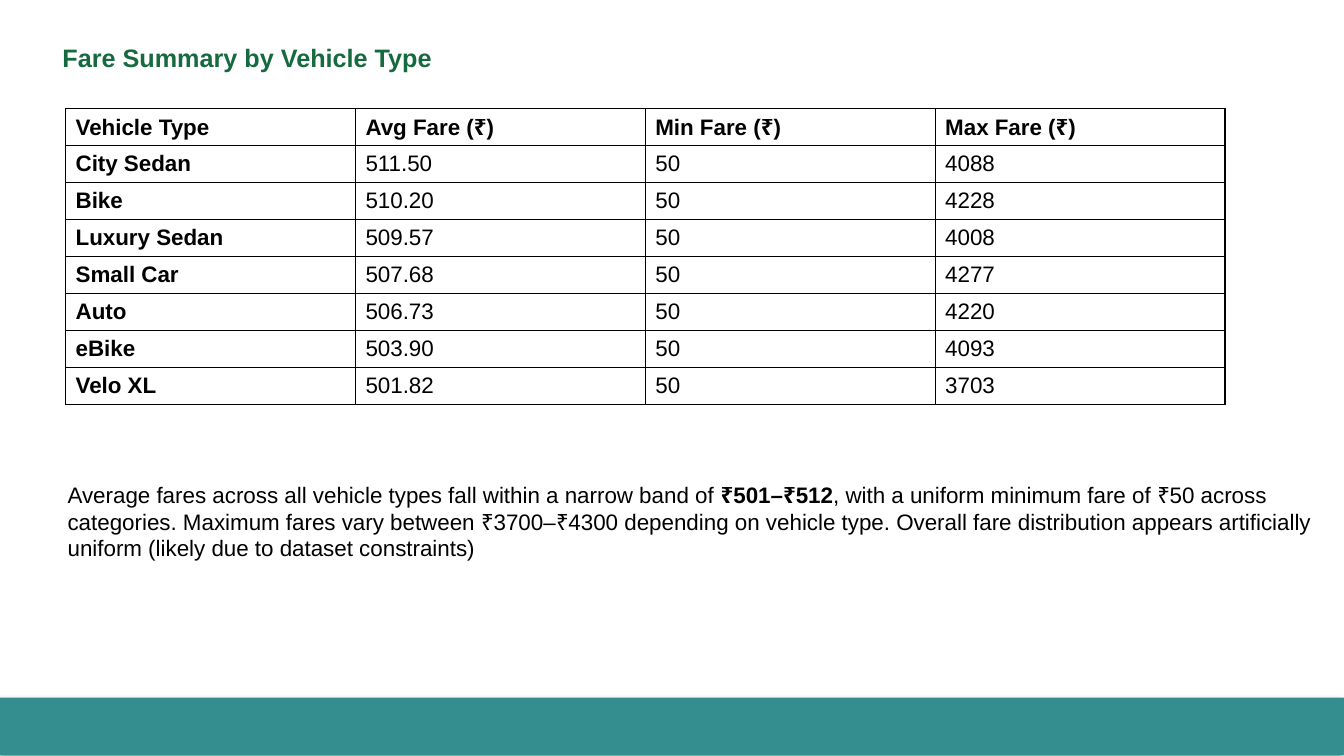
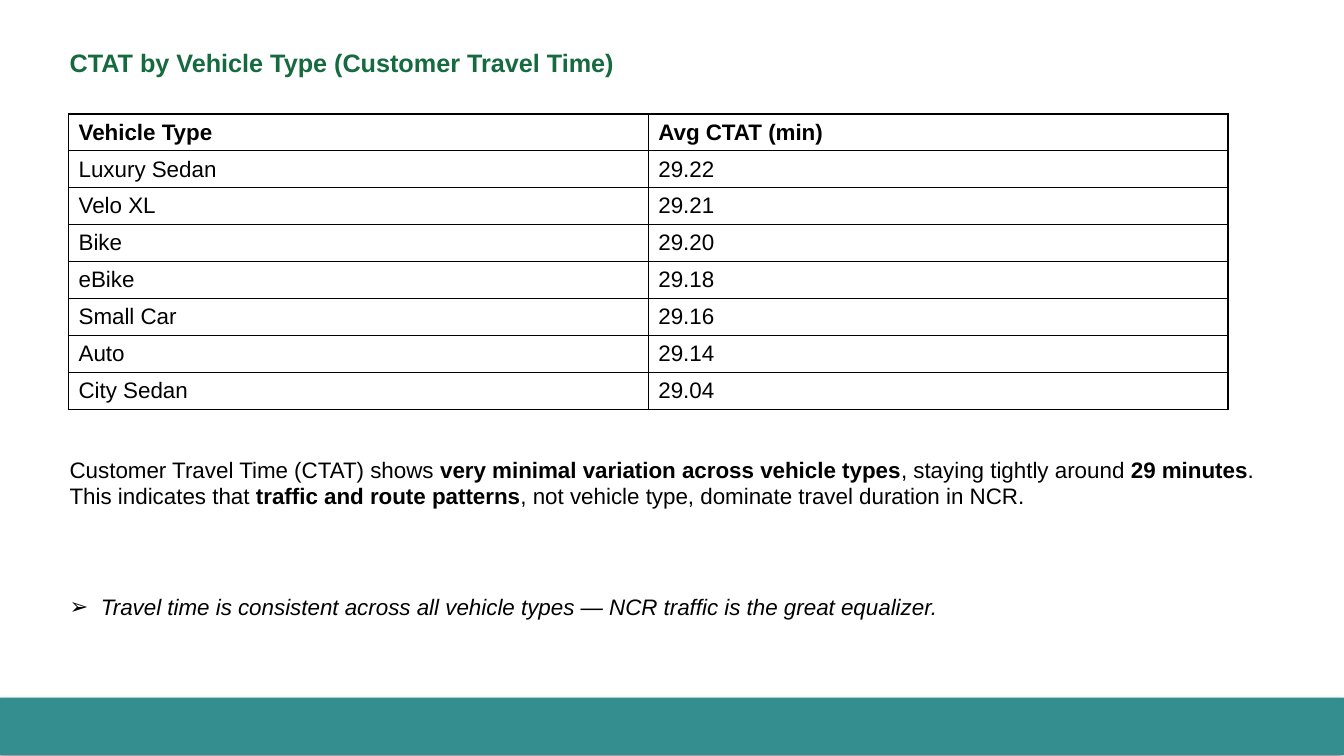
from lxml.etree import SubElement
from pptx import Presentation
from pptx.dml.color import RGBColor as Rgb
from pptx.enum.shapes import MSO_SHAPE as Shape
from pptx.enum.text import MSO_ANCHOR as Anchor, MSO_AUTO_SIZE as Fit, PP_ALIGN as Align
from pptx.oxml.ns import qn
from pptx.util import Inches, Pt

HUES = {"title": "166A3F", "band": "348E90", "ink": "000000"}
FONT = "Arial"
WIDE, HIGH = Inches(13.33), Inches(7.5)
COL, ROW = WIDE / 100, HIGH / 100
BAND = (0, 92.27, 100, 7.6)

FARES = [
    ("Vehicle Type", "Avg Fare (₹)", "Min Fare (₹)", "Max Fare (₹)"),
    ("City Sedan", "511.50", "50", "4088"),
    ("Bike", "510.20", "50", "4228"),
    ("Luxury Sedan", "509.57", "50", "4008"),
    ("Small Car", "507.68", "50", "4277"),
    ("Auto", "506.73", "50", "4220"),
    ("eBike", "503.90", "50", "4093"),
    ("Velo XL", "501.82", "50", "3703"),
]
TIMES = [
    ("Vehicle Type", "Avg CTAT (min)"),
    ("Luxury Sedan", "29.22"),
    ("Velo XL", "29.21"),
    ("Bike", "29.20"),
    ("eBike", "29.18"),
    ("Small Car", "29.16"),
    ("Auto", "29.14"),
    ("City Sedan", "29.04"),
]
FARE_NOTE = (
    "Average fares across all vehicle types fall within a narrow band of *₹501–₹512*, "
    "with a uniform minimum fare of ₹50 across categories. Maximum fares vary between "
    "₹3700–₹4300 depending on vehicle type. Overall fare distribution appears "
    "artificially uniform (likely due to dataset constraints)"
)
TIME_NOTE = (
    "Customer Travel Time (CTAT) shows *very minimal variation across vehicle types*, "
    "staying tightly around *29 minutes*. This indicates that *traffic and route "
    "patterns*, not vehicle type, dominate travel duration in NCR."
)
TIME_POINT = "Travel time is consistent across all vehicle types — NCR traffic is the great equalizer."


def span(box):
    left, top, width, height = box
    return [round(n) for n in (left * COL, top * ROW, width * COL, height * ROW)]


def place(shape, box):
    shape.left, shape.top, shape.width, shape.height = span(box)


def style(run, size=16, hue="ink", bold=False, slant=False):
    font = run.font
    font.name, font.size = FONT, Pt(size)
    font.bold, font.italic = bold, slant
    font.color.rgb = Rgb.from_string(HUES[hue])


def add_band(deck, slide, box):
    band = slide.shapes.add_shape(Shape.RECTANGLE, *span(box))
    band.fill.solid()
    band.fill.fore_color.rgb = Rgb.from_string(HUES["band"])
    band.line.fill.background()
    band.shadow.inherit = False
    glow = SubElement(band.element.spPr.find(qn("a:effectLst")), qn("a:outerShdw"),
                      blurRad=str(Pt(4)), dist=str(Pt(3)), dir="8100000")
    tint = SubElement(glow, qn("a:srgbClr"), val=HUES["ink"])
    SubElement(tint, qn("a:alpha"), val="40000")
    deck.slide_master.element.cSld.spTree.append(band.element)


def set_frame(shape, box):
    place(shape, box)
    frame = shape.text_frame
    frame.word_wrap = True
    frame.auto_size = Fit.NONE
    frame.vertical_anchor = Anchor.TOP
    return frame


def set_title(slide, box, text):
    frame = set_frame(slide.shapes.title, box)
    frame.text = text
    para = frame.paragraphs[0]
    para.alignment = Align.LEFT
    style(para.runs[0], 18, "title", bold=True)


def set_mark(para, mark):
    props = para._p.get_or_add_pPr()
    inset = Inches(0.31) if mark else 0
    props.set("marL", str(inset))
    props.set("indent", str(-inset))
    if mark:
        SubElement(props, qn("a:buFont"), typeface=FONT)
        SubElement(props, qn("a:buChar"), char=mark)
    else:
        SubElement(props, qn("a:buNone"))


def set_body(slide, box, note, point=None):
    frame = set_frame(slide.placeholders[1], box)
    para = frame.paragraphs[0]
    set_mark(para, None)
    para.space_before = Pt(0)
    for i, part in enumerate(note.split("*")):
        run = para.add_run()
        run.text = part
        style(run, bold=i % 2 == 1)
    if point:
        para = frame.add_paragraph()
        para.text = point
        set_mark(para, "➢")
        para.space_before = Pt(60)
        style(para.runs[0], slant=True)


def set_edges(cell):
    props = cell._tc.get_or_add_tcPr()
    for i, side in enumerate(("lnL", "lnR", "lnT", "lnB")):
        edge = props.makeelement(qn(f"a:{side}"), {"w": str(Pt(1))})
        fill = SubElement(edge, qn("a:solidFill"))
        SubElement(fill, qn("a:srgbClr"), val=HUES["ink"])
        props.insert(i, edge)


def add_grid(slide, box, rows, heads):
    table = slide.shapes.add_table(len(rows), len(rows[0]), *span(box)).table
    table.first_row = table.horz_banding = False
    for r, row in enumerate(rows):
        for c, text in enumerate(row):
            cell = table.cell(r, c)
            cell.text = text
            cell.vertical_anchor = Anchor.MIDDLE
            cell.fill.background()
            set_edges(cell)
            style(cell.text_frame.paragraphs[0].runs[0], bold=r == 0 or c < heads)


def add_page(deck, title, grid, body):
    slide = deck.slides.add_slide(deck.slide_layouts[1])
    set_title(slide, *title)
    add_grid(slide, *grid)
    set_body(slide, *body)
    return slide


def main():
    deck = Presentation()
    deck.slide_width, deck.slide_height = WIDE, HIGH
    first = add_page(
        deck,
        ((3.9, 4.93, 80, 9.47), "Fare Summary by Vehicle Type"),
        ((4.88, 14.4, 86.27, 39.07), FARES, 1),
        ((4.28, 62.93, 94.45, 16.13), FARE_NOTE),
    )
    add_band(deck, first, BAND)
    add_page(
        deck,
        ((4.43, 5.6, 80, 9.47), "CTAT by Vehicle Type (Customer Travel Time)"),
        ((5.1, 15.07, 86.27, 39.07), TIMES, 0),
        ((4.43, 59.6, 92.2, 27.07), TIME_NOTE, TIME_POINT),
    )
    deck.save("out.pptx")


if __name__ == "__main__":
    main()
